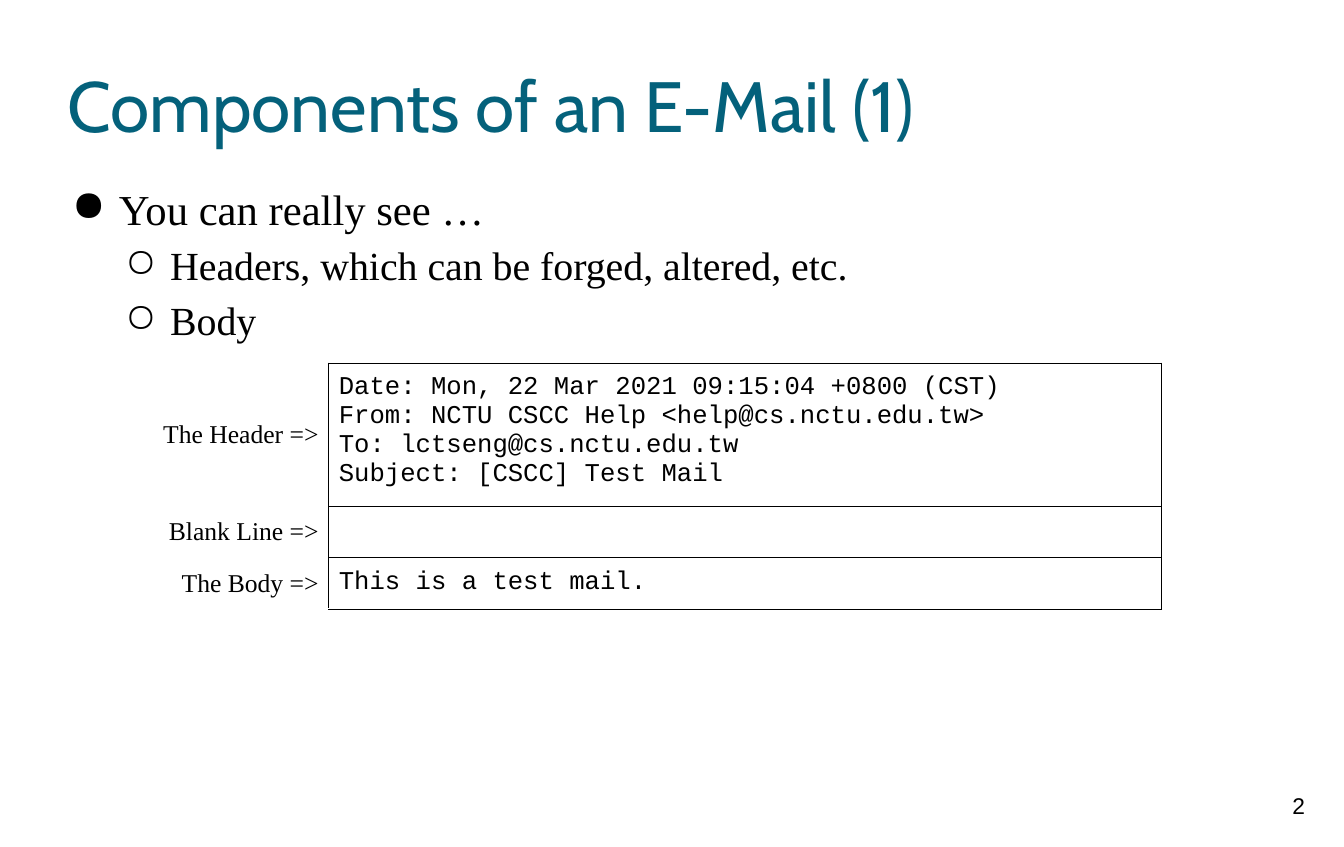
from lxml import etree
from pptx import Presentation
from pptx.dml.color import RGBColor
from pptx.enum.text import MSO_ANCHOR, PP_ALIGN
from pptx.oxml.ns import qn
from pptx.util import Cm, Pt

LEFT, CENTER, RIGHT = PP_ALIGN.LEFT, PP_ALIGN.CENTER, PP_ALIGN.RIGHT
TOP, MIDDLE = MSO_ANCHOR.TOP, MSO_ANCHOR.MIDDLE
BLACK = RGBColor(0x00, 0x00, 0x00)
TEAL = RGBColor(0x04, 0x61, 0x7B)
SERIF, MONO = "Times New Roman", "Courier New"
PADDING = Cm(0.25)

POINTS = [
    (0, "You can really see …"),
    (1, "Headers, which can be forged, altered, etc."),
    (1, "Body"),
]
LEVELS = [("●", Cm(1.27), Cm(-1.17), 30), ("○", Cm(2.54), Cm(-1.12), 28)]
MAIL_PARTS = [
    ("The Header =>", [
        "Date: Mon, 22 Mar 2021 09:15:04 +0800 (CST)",
        "From: NCTU CSCC Help <help@cs.nctu.edu.tw>",
        "To: lctseng@cs.nctu.edu.tw",
        "Subject: [CSCC] Test Mail",
    ], Cm(3.56)),
    ("Blank Line =>", [], Cm(1.27)),
    ("The Body =>", ["This is a test mail."], Cm(1.27)),
]


def set_margins(owner, margin):
    owner.margin_left = owner.margin_right = margin
    owner.margin_top = owner.margin_bottom = margin


def style(paragraph, size, face, color=BLACK, align=LEFT):
    paragraph.alignment = align
    paragraph.font.size = Pt(size)
    paragraph.font.name = face
    paragraph.font.color.rgb = color


def write_lines(frame, lines, size, face, align=LEFT):
    for index, line in enumerate(lines):
        paragraph = frame.paragraphs[0] if index == 0 else frame.add_paragraph()
        paragraph.text = line
        style(paragraph, size, face, align=align)


def add_solid_fill(parent, color):
    fill = etree.SubElement(parent, qn("a:solidFill"))
    etree.SubElement(fill, qn("a:srgbClr"), val=str(color))


def draw_borders(cell, sides):
    properties = cell._tc.get_or_add_tcPr()
    for side in sides:
        border = etree.SubElement(properties, qn("a:ln" + side), w=str(Pt(0.75)))
        add_solid_fill(border, BLACK)


def set_bullet(paragraph, mark, indent, hanging):
    properties = paragraph._p.get_or_add_pPr()
    properties.set("marL", str(indent))
    properties.set("indent", str(hanging))
    color = etree.SubElement(properties, qn("a:buClr"))
    etree.SubElement(color, qn("a:srgbClr"), val=str(BLACK))
    etree.SubElement(properties, qn("a:buChar"), char=mark)


def place_title(slide, left, top, width, height):
    title = slide.shapes.title
    title.left, title.top, title.width, title.height = left, top, width, height
    frame = title.text_frame
    set_margins(frame, 0)
    frame.vertical_anchor = MIDDLE
    frame.text = "Components of an E-Mail (1)"
    style(frame.paragraphs[0], 50, "Cabin", TEAL)


def add_points(slide, left, top, width, height):
    frame = slide.shapes.add_textbox(left, top, width, height).text_frame
    frame.word_wrap = True
    set_margins(frame, 0)
    for index, (level, point) in enumerate(POINTS):
        paragraph = frame.paragraphs[0] if index == 0 else frame.add_paragraph()
        mark, indent, hanging, size = LEVELS[level]
        paragraph.text = point
        paragraph.level = level
        set_bullet(paragraph, mark, indent, hanging)
        paragraph.line_spacing = 1.15
        style(paragraph, size, SERIF)


def add_mail(slide, left, top, width, height):
    mail = slide.shapes.add_table(len(MAIL_PARTS), 2, left, top, width, height).table
    mail.first_row = mail.horz_banding = False
    mail.columns[0].width = Cm(4.55)
    mail.columns[1].width = width - Cm(4.55)
    for row, (label, lines, row_height) in enumerate(MAIL_PARTS):
        mail.rows[row].height = row_height
        label_cell, content_cell = mail.cell(row, 0), mail.cell(row, 1)
        write_lines(label_cell.text_frame, [label], 18, SERIF, RIGHT)
        write_lines(content_cell.text_frame, lines, 18, MONO)
        for cell, anchor, sides in (
            (label_cell, MIDDLE, "R"),
            (content_cell, TOP, "LRTB"),
        ):
            set_margins(cell, PADDING)
            cell.vertical_anchor = anchor
            draw_borders(cell, sides)
            cell.fill.background()


def add_page_number(slide, left, top, width, height):
    frame = slide.shapes.add_textbox(left, top, width, height).text_frame
    frame.word_wrap = True
    set_margins(frame, PADDING)
    write_lines(frame, ["2"], 16, "Arial", CENTER)


def main():
    deck = Presentation()
    deck.slide_width, deck.slide_height = Cm(33.32), Cm(21)
    slide = deck.slides.add_slide(deck.slide_layouts[5])
    place_title(slide, Cm(1.68), Cm(0.84), Cm(30), Cm(3.5))
    add_points(slide, Cm(1.68), Cm(4.34), Cm(30.07), Cm(4.04))
    add_mail(slide, Cm(3.6), Cm(9), Cm(25.2), Cm(6.1))
    add_page_number(slide, Cm(31.2), Cm(19.38), Cm(2), Cm(1.6))
    deck.save("out.pptx")


if __name__ == "__main__":
    main()
